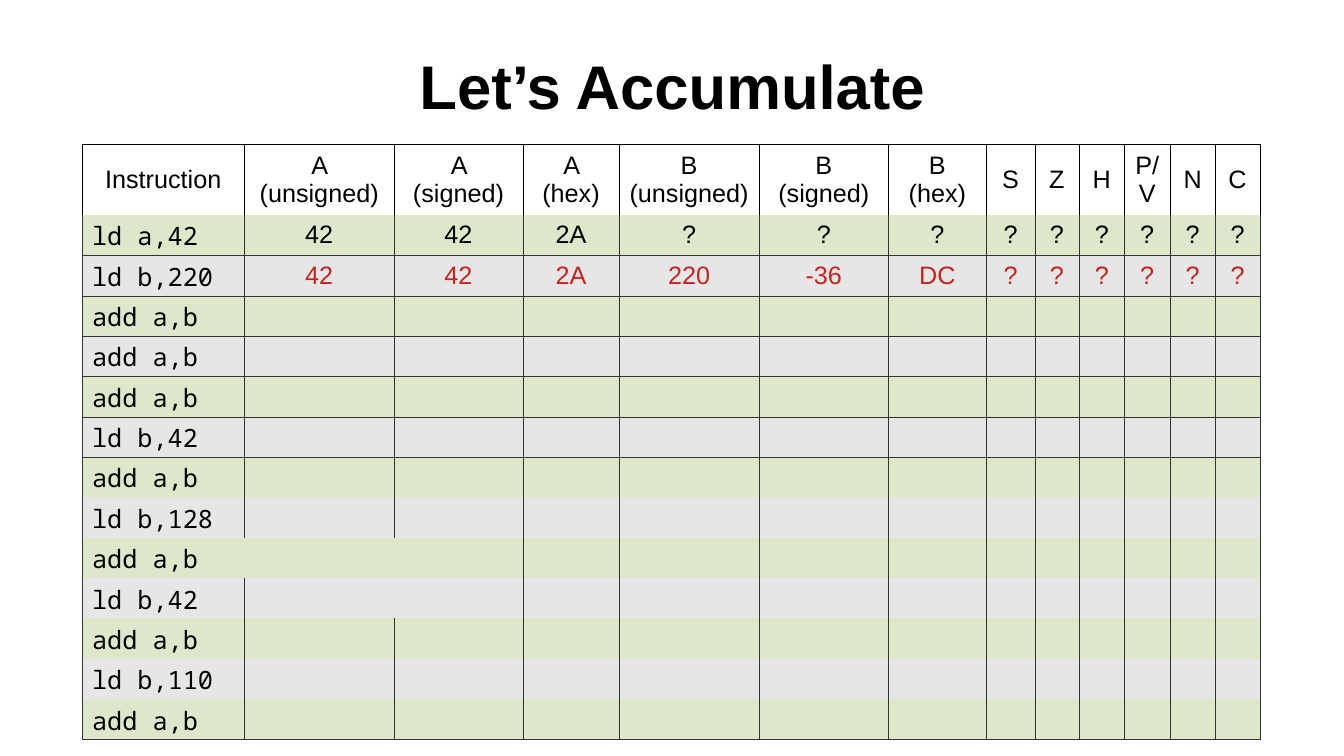
from lxml.etree import SubElement
from pptx import Presentation
from pptx.dml.color import RGBColor
from pptx.enum.text import MSO_ANCHOR, MSO_AUTO_SIZE, PP_ALIGN
from pptx.oxml import parse_xml
from pptx.oxml.ns import nsdecls, qn
from pptx.util import Inches, Pt

COLORS = {
    "text": "000000",
    "changed": "C9211E",
    "header": "FFFFFF",
    "green": "DDE8CB",
    "gray": "E6E6E6",
    "header_line": "000000",
    "line": "333333",
}
SANS, MONO = "Arial", "Noto Sans Mono"
BORDER_WIDTH = Pt(0.06)
NO_TABLE_STYLE = "{2D5ABB26-0587-4C30-8999-92F81FD0307C}"

HEADERS = ["Instruction", "A (unsigned)", "A (signed)", "A (hex)",
           "B (unsigned)", "B (signed)", "B (hex)", "S", "Z", "H", "P/V", "N", "C"]
COLUMN_WEIGHTS = [161, 148, 128, 95, 139, 128, 97, 48, 44, 45, 45, 45, 44]
INSTRUCTIONS = ["ld a,42", "ld b,220", "add a,b", "add a,b", "add a,b", "ld b,42", "add a,b",
                "ld b,128", "add a,b", "ld b,42", "add a,b", "ld b,110", "add a,b"]
REGISTER_VALUES = {
    "ld a,42": ["42", "42", "2A"] + ["?"] * 9,
    "ld b,220": ["42", "42", "2A", "220", "-36", "DC"] + ["?"] * 6,
}
CHANGED_ROW = 2
# Row edges are counted from the top of the table, column edges from its left.
RULED_ROW_EDGES = {0, 2, 3, 4, 5, 6, 7, len(INSTRUCTIONS) + 1}
OPEN_COLUMN_EDGES = {(9, 1), (9, 2), (10, 2)}


def write_text(frame, text, *, size=18, font=SANS, color="text", bold=False,
               align=PP_ALIGN.CENTER):
    paragraph = frame.paragraphs[0]
    paragraph.alignment = align
    run = paragraph.add_run()
    run.text = text
    run.font.size = Pt(size)
    run.font.name = font
    run.font.bold = bold
    run.font.color.rgb = RGBColor.from_string(COLORS[color])


def set_borders(cell, sides, color):
    """Draw the sides marked True in the order left, right, top, bottom."""
    properties = cell._tc.get_or_add_tcPr()
    for position, (side, drawn) in enumerate(zip("LRTB", sides)):
        line = parse_xml(f'<a:ln{side} {nsdecls("a")} w="{int(BORDER_WIDTH)}"/>')
        if drawn:
            fill = SubElement(line, qn("a:solidFill"))
            SubElement(fill, qn("a:srgbClr")).set("val", COLORS[color])
        else:
            SubElement(line, qn("a:noFill"))
        properties.insert(position, line)


class SlideBuilder:
    """Lengths are percentages of the slide's width or height."""

    def __init__(self, presentation):
        self.width = presentation.slide_width
        self.height = presentation.slide_height
        self.slide = presentation.slides.add_slide(presentation.slide_layouts[5])

    def across(self, percent):
        return int(self.width * percent / 100)

    def down(self, percent):
        return int(self.height * percent / 100)

    def box(self, left, top, width, height):
        return self.across(left), self.down(top), self.across(width), self.down(height)

    def title(self, text, box):
        shape = self.slide.shapes.title
        shape.left, shape.top, shape.width, shape.height = self.box(*box)
        frame = shape.text_frame
        frame.auto_size = MSO_AUTO_SIZE.NONE
        frame.vertical_anchor = MSO_ANCHOR.MIDDLE
        frame.margin_left = frame.margin_right = frame.margin_top = frame.margin_bottom = 0
        write_text(frame, text, size=44, bold=True)

    def table(self, rows, left, top, width, header_height, row_height):
        height = header_height + row_height * (len(rows) - 1)
        shape = self.slide.shapes.add_table(
            len(rows), len(HEADERS), *self.box(left, top, width, height))
        table = shape.table
        table.first_row = table.horz_banding = False
        table._tbl.tblPr.find(qn("a:tableStyleId")).text = NO_TABLE_STYLE
        for column, weight in zip(table.columns, COLUMN_WEIGHTS):
            column.width = self.across(width * weight / sum(COLUMN_WEIGHTS))
        for row_index, values in enumerate(rows):
            table.rows[row_index].height = self.down(
                row_height if row_index else header_height)
            for column_index, text in enumerate(values):
                self.cell(table.cell(row_index, column_index), text, row_index, column_index)

    def cell(self, cell, text, row, column):
        is_header = row == 0
        is_instruction = column == 0 and not is_header
        fill = "header" if is_header else ("gray", "green")[row % 2]
        cell.fill.solid()
        cell.fill.fore_color.rgb = RGBColor.from_string(COLORS[fill])
        cell.margin_left = cell.margin_right = Inches(0.1)
        cell.margin_top = cell.margin_bottom = Inches(0.05 if is_header else 0.02)
        cell.vertical_anchor = MSO_ANCHOR.BOTTOM if is_instruction else MSO_ANCHOR.MIDDLE
        sides = [(row, edge) not in OPEN_COLUMN_EDGES for edge in (column, column + 1)]
        sides += [edge in RULED_ROW_EDGES for edge in (row, row + 1)]
        set_borders(cell, sides, "header_line" if is_header else "line")
        if is_instruction:
            write_text(cell.text_frame, text, font=MONO, align=PP_ALIGN.LEFT)
        elif text:
            write_text(cell.text_frame, text,
                       color="changed" if row == CHANGED_ROW else "text")


def main():
    presentation = Presentation()
    presentation.slide_width = Inches(13.33)
    presentation.slide_height = Inches(7.5)
    builder = SlideBuilder(presentation)
    builder.title("Let’s Accumulate", (6.9, 1.6, 86.27, 19.33))
    blanks = [""] * (len(HEADERS) - 1)
    rows = [HEADERS] + [[name] + REGISTER_VALUES.get(name, blanks) for name in INSTRUCTIONS]
    builder.table(rows, left=6.1, top=19.07, width=87.65, header_height=9.35, row_height=5.34)
    presentation.save("out.pptx")


if __name__ == "__main__":
    main()
